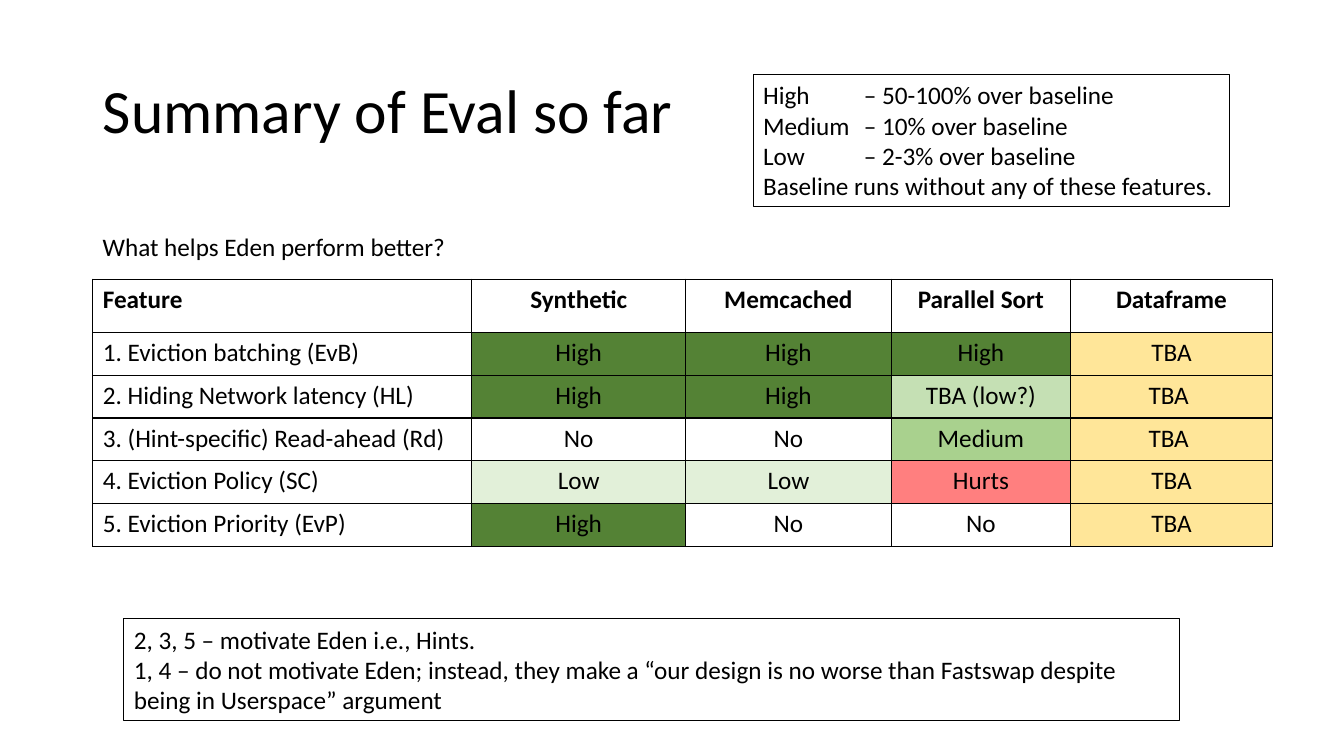
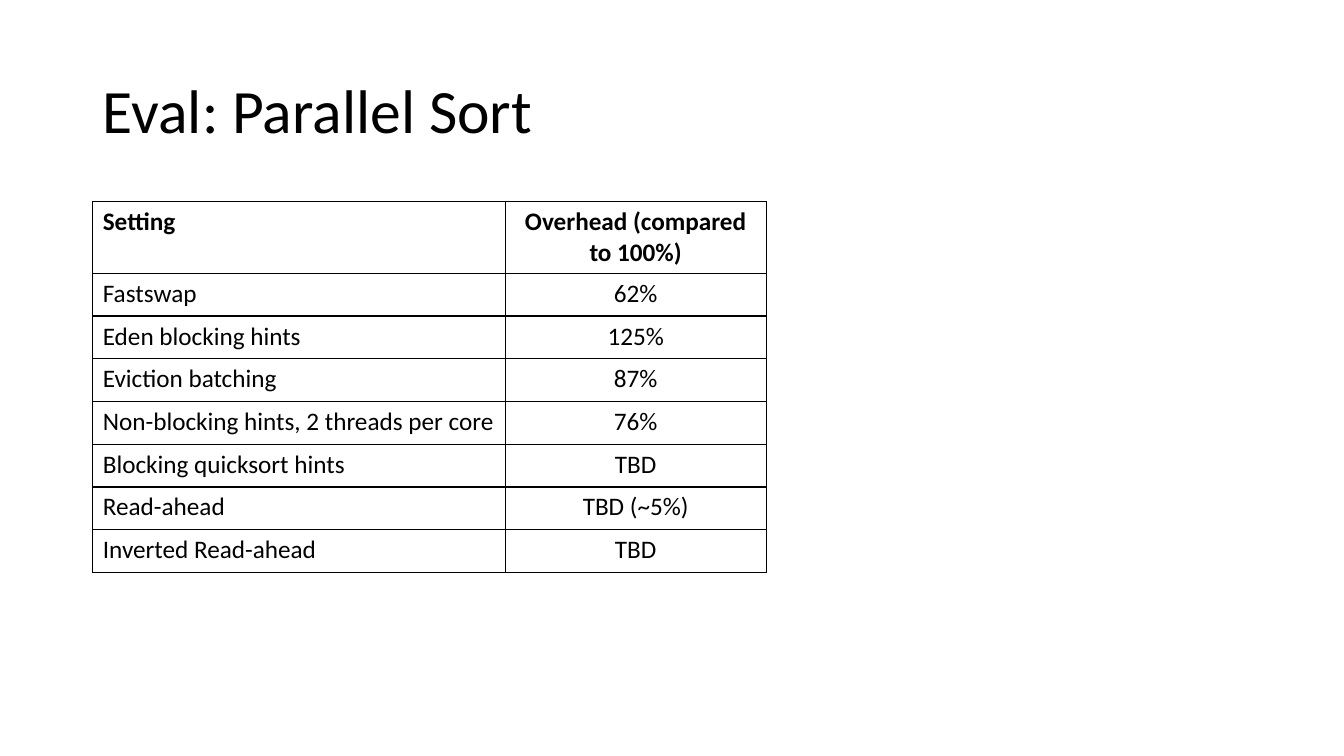
from lxml.etree import SubElement
from pptx import Presentation
from pptx.dml.color import RGBColor
from pptx.enum.shapes import MSO_SHAPE
from pptx.enum.text import MSO_ANCHOR, MSO_AUTO_SIZE, PP_ALIGN
from pptx.oxml.ns import qn
from pptx.util import Pt

PX = 9144  # EMU per px, 100 px to the inch
PAGE_SIZE = (1333, 750)
FONT = "Calibri"
BLACK = RGBColor(0x00, 0x00, 0x00)
WHITE = RGBColor(0xFF, 0xFF, 0xFF)
DARK_GREEN = RGBColor(0x54, 0x82, 0x35)
MID_GREEN = RGBColor(0xA9, 0xD1, 0x8E)
SOFT_GREEN = RGBColor(0xC5, 0xE0, 0xB4)
PALE_GREEN = RGBColor(0xE2, 0xF0, 0xD9)
YELLOW = RGBColor(0xFF, 0xE6, 0x99)
RED = RGBColor(0xFF, 0x00, 0x00)

TITLE_AT = (92, 40, 1150, 145)
TITLE_FORMAT = {"size": Pt(44), "name": FONT}
TEXT_FORMAT = {"size": Pt(18), "name": FONT}

RATING_FILLS = {
    "High": DARK_GREEN,
    "Medium": MID_GREEN,
    "TBA (low?)": SOFT_GREEN,
    "Low": PALE_GREEN,
    "TBA": YELLOW,
    "Hurts": RED,
}
RATING_ALPHA = {"Hurts": 50}

FEATURE_TABLE = {
    "at": (92, 277),
    "columns": (376, 212, 204, 178, 200),
    "header_height": 53,
    "height": 265,
    "rows": [
        ("Feature", "Synthetic", "Memcached", "Parallel Sort", "Dataframe"),
        ("1. Eviction batching (EvB)", "High", "High", "High", "TBA"),
        ("2. Hiding Network latency (HL)", "High", "High", "TBA (low?)", "TBA "),
        ("3. (Hint-specific) Read-ahead (Rd)", "No", "No", "Medium", "TBA "),
        ("4. Eviction Policy (SC)", "Low", "Low", "Hurts", "TBA"),
        ("5. Eviction Priority (EvP)", "High", "No", "No", "TBA"),
    ],
}
SORT_TABLE = {
    "at": (92, 200),
    "columns": (409, 259),
    "header_height": 70,
    "height": 367,
    "body_fill": WHITE,
    "rows": [
        ("Setting", "Overhead (compared to 100%)"),
        ("Fastswap", "62%"),
        ("Eden blocking hints", "125%"),
        ("Eviction batching", "87%"),
        ("Non-blocking hints, 2 threads per core", "76%"),
        ("Blocking quicksort hints", "TBD"),
        ("Read-ahead", "TBD (~5%)"),
        ("Inverted Read-ahead", "TBD"),
    ],
}
QUESTION_AT = (92, 225, 365, 40)
QUESTION = ["What helps Eden perform better?"]
LEGEND_AT = (747, 74, 472, 131)
LEGEND_TAB = 100
LEGEND = [
    "High\t– 50-100% over baseline",
    "Medium\t– 10% over baseline",
    "Low\t– 2-3% over baseline",
    "Baseline runs without any of these features.",
]
TAKEAWAY_AT = (123, 614, 1047, 101)
TAKEAWAY = [
    "2, 3, 5 – motivate Eden i.e., Hints.",
    "1, 4 – do not motivate Eden; instead, they make a “our design is no worse "
    "than Fastswap despite being in Userspace” argument",
]


def emu(lengths):
    return [round(length * PX) for length in lengths]


def write(para, text, formats, **extra):
    span = para.add_run()
    span.text = text
    for name, value in {**formats, **extra}.items():
        setattr(span.font, name, value)
    span.font.color.rgb = BLACK


def add_page(deck, title):
    page = deck.slides.add_slide(deck.slide_layouts.get_by_name("Title Only"))
    box = page.shapes.title
    box.left, box.top, box.width, box.height = emu(TITLE_AT)
    box.text_frame.vertical_anchor = MSO_ANCHOR.MIDDLE
    para = box.text_frame.paragraphs[0]
    para.alignment = PP_ALIGN.LEFT
    para.line_spacing = 0.9
    write(para, title, TITLE_FORMAT)
    return page


def fill_text(box, lines, wrap, tab=None):
    frame = box.text_frame
    frame.word_wrap = wrap
    frame.auto_size = MSO_AUTO_SIZE.SHAPE_TO_FIT_TEXT
    frame.vertical_anchor = MSO_ANCHOR.TOP
    for index, line in enumerate(lines):
        para = frame.add_paragraph() if index else frame.paragraphs[0]
        para.alignment = PP_ALIGN.LEFT
        if tab and "\t" in line:
            stops = SubElement(para._p.get_or_add_pPr(), qn("a:tabLst"))
            SubElement(stops, qn("a:tab"), pos=str(tab * PX), algn="l")
        write(para, line, TEXT_FORMAT)


def add_note(page, at, lines, tab=None):
    """Add an outlined box of text."""
    box = page.shapes.add_shape(MSO_SHAPE.RECTANGLE, *emu(at))
    box.shadow.inherit = False
    box.fill.background()
    box.line.color.rgb = BLACK
    box.line.width = Pt(0.75)
    fill_text(box, lines, True, tab)


def set_borders(cell):
    properties = cell._tc.get_or_add_tcPr()
    for side in ("lnL", "lnR", "lnT", "lnB"):
        line = SubElement(properties, qn(f"a:{side}"), w=str(Pt(1)))
        solid = SubElement(line, qn("a:solidFill"))
        SubElement(solid, qn("a:srgbClr"), val=str(BLACK))


def set_fill(cell, color, alpha=None):
    if color is None:
        cell.fill.background()
        return
    cell.fill.solid()
    cell.fill.fore_color.rgb = color
    if alpha:
        tint = cell._tc.tcPr.find(qn("a:solidFill")).find(qn("a:srgbClr"))
        SubElement(tint, qn("a:alpha"), val=str(alpha * 1000))


def add_grid(page, grid):
    rows, columns = grid["rows"], grid["columns"]
    size = (sum(columns), grid["height"])
    table = page.shapes.add_table(len(rows), len(columns), *emu(grid["at"] + size)).table
    table.first_row = table.horz_banding = False
    for column, width in zip(table.columns, emu(columns)):
        column.width = width

    body_height = (grid["height"] - grid["header_height"]) / (len(rows) - 1)
    for r, texts in enumerate(rows):
        table.rows[r].height = round((body_height if r else grid["header_height"]) * PX)
        for c, text in enumerate(texts):
            cell = table.cell(r, c)
            set_borders(cell)
            rating = text.strip()
            base_fill = grid.get("body_fill") if r else None
            set_fill(cell, RATING_FILLS.get(rating, base_fill), RATING_ALPHA.get(rating))
            para = cell.text_frame.paragraphs[0]
            para.alignment = PP_ALIGN.CENTER if c else PP_ALIGN.LEFT
            write(para, text, TEXT_FORMAT, bold=r == 0)


def main():
    deck = Presentation()
    deck.slide_width, deck.slide_height = emu(PAGE_SIZE)

    summary = add_page(deck, "Summary of Eval so far")
    add_grid(summary, FEATURE_TABLE)
    add_note(summary, LEGEND_AT, LEGEND, LEGEND_TAB)
    fill_text(summary.shapes.add_textbox(*emu(QUESTION_AT)), QUESTION, False)
    add_note(summary, TAKEAWAY_AT, TAKEAWAY)

    sorting = add_page(deck, "Eval: Parallel Sort")
    add_grid(sorting, SORT_TABLE)

    deck.save("out.pptx")


if __name__ == "__main__":
    main()
